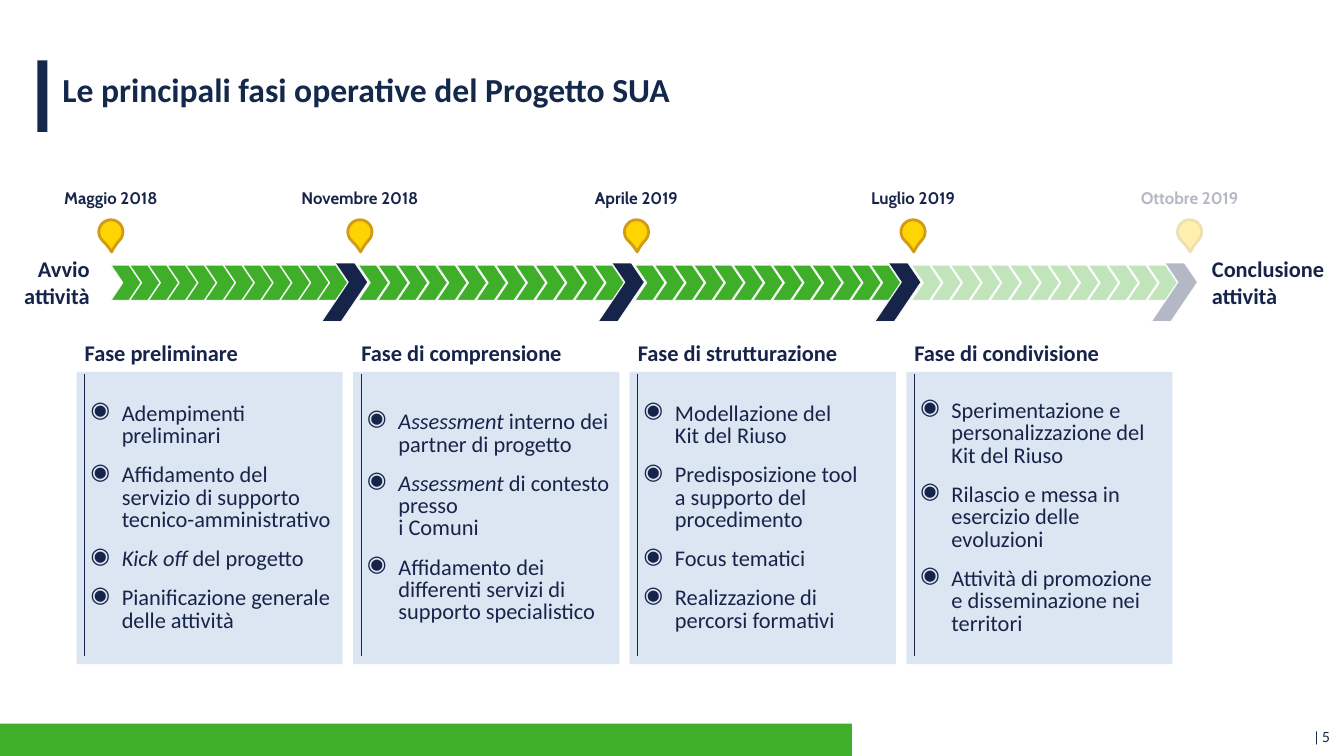
from lxml import etree
from pptx import Presentation
from pptx.dml.color import RGBColor
from pptx.enum.shapes import MSO_CONNECTOR, MSO_SHAPE
from pptx.enum.text import MSO_ANCHOR, MSO_AUTO_SIZE, PP_ALIGN
from pptx.oxml.ns import qn
from pptx.util import Inches, Pt

RECT, CHEVRON = MSO_SHAPE.RECTANGLE, MSO_SHAPE.CHEVRON
TEAR, PARALLELOGRAM = MSO_SHAPE.TEAR, MSO_SHAPE.PARALLELOGRAM
STRAIGHT = MSO_CONNECTOR.STRAIGHT
LEFT, CENTER, RIGHT = PP_ALIGN.LEFT, PP_ALIGN.CENTER, PP_ALIGN.RIGHT
TOP, MIDDLE = MSO_ANCHOR.TOP, MSO_ANCHOR.MIDDLE
GROW = MSO_AUTO_SIZE.SHAPE_TO_FIT_TEXT

NAVY = RGBColor(0x17, 0x24, 0x4A)
TITLE_NAVY = RGBColor(0x14, 0x28, 0x4B)
GREEN = RGBColor(0x3F, 0xAE, 0x29)
PALE_BLUE = RGBColor(0xDC, 0xE6, 0xF2)
YELLOW = RGBColor(0xFF, 0xD4, 0x03)
OCHRE = RGBColor(0xD1, 0x9A, 0x17)
OFF_WHITE = RGBColor(0xF8, 0xF8, 0xF8)
WHITE = RGBColor(0xFF, 0xFF, 0xFF)

TITLE = "Le principali fasi operative del Progetto SUA"
START_DATE = ("Maggio 2018", 1.15)
START_LABEL = "Avvio\nattività"
END_LABEL = "Conclusione \nattività"
PAGE = "| 5"

# Each activity is a list of (text, italic) runs.
PHASES = [
    {"name": "Fase preliminare", "name_width": 1.54,
     "end_date": ("Novembre 2018", 1.41), "first_arrow": 0.34, "arrows": 12,
     "activities": [
         [("Adempimenti preliminari", False)],
         [("Affidamento del servizio di supporto tecnico-amministrativo", False)],
         [("Kick off ", True), ("del progetto", False)],
         [("Pianificazione generale delle attività", False)]]},
    {"name": "Fase di comprensione", "name_width": 2.01,
     "end_date": ("Aprile 2019", 1.07), "first_arrow": 0.05, "arrows": 13,
     "activities": [
         [("Assessment", True), (" interno dei partner di progetto", False)],
         [("Assessment ", True), ("di contesto presso \ni Comuni", False)],
         [("Affidamento dei differenti servizi di supporto specialistico", False)]]},
    {"name": "Fase di strutturazione", "name_width": 2.01,
     "end_date": ("Luglio 2019", 1.05), "first_arrow": 0.05, "arrows": 13,
     "activities": [
         [("Modellazione del \nKit del Riuso", False)],
         [("Predisposizione tool \na supporto del procedimento", False)],
         [("Focus tematici", False)],
         [("Realizzazione di percorsi formativi", False)]]},
    {"name": "Fase di condivisione", "name_width": 1.86,
     "end_date": ("Ottobre 2019", 1.22), "first_arrow": 0.05, "arrows": 13,
     "activities": [
         [("Sperimentazione e personalizzazione del Kit del Riuso", False)],
         [("Rilascio e messa in esercizio delle evoluzioni", False)],
         [("Attività di promozione e disseminazione nei territori", False)]]},
]

FIRST_LEFT, PHASE_PITCH = 0.76, 2.743
CARD_TOP, CARD_WIDTH, CARD_HEIGHT = 3.69, 2.64, 2.9
LAST_ARROW, PIN_CENTER, PIN_SIZE = 2.39, 2.81, 0.24

prs = Presentation()
prs.slide_width, prs.slide_height = Inches(13.33), Inches(7.5)
slide = prs.slides.add_slide(prs.slide_layouts[6])


def add_runs(paragraph, text, size, color, font="Calibri", bold=False, italic=False):
    for i, line in enumerate(text.split("\n")):
        if i:
            paragraph.add_line_break()
        run = paragraph.add_run()
        run.text = line
        run.font.size, run.font.name = Pt(size), font
        run.font.bold, run.font.italic = bold, italic
        run.font.color.rgb = color


def add_label(text, left, top, width, height, size=16, color=NAVY, font="Calibri",
              bold=True, align=LEFT, insets=(0, 0), wrap=False):
    box = slide.shapes.add_textbox(Inches(left), Inches(top), Inches(width), Inches(height))
    frame = box.text_frame
    frame.word_wrap = wrap
    if not wrap:
        frame.auto_size = GROW
    frame.vertical_anchor = TOP
    frame.margin_left = frame.margin_right = Inches(insets[0])
    frame.margin_top = frame.margin_bottom = Inches(insets[1])
    frame.paragraphs[0].alignment = align
    add_runs(frame.paragraphs[0], text, size, color, font, bold)


def add_block(kind, left, top, width, height, fill, line=None, line_width=0.75,
              adjust=None, flip=False):
    block = slide.shapes.add_shape(kind, Inches(left), Inches(top), Inches(width), Inches(height))
    block.shadow.inherit = False
    block.fill.solid()
    block.fill.fore_color.rgb = fill
    if line is None:
        block.line.fill.background()
    else:
        block.line.color.rgb = line
        block.line.width = Pt(line_width)
    if adjust is not None:
        block.adjustments[0] = adjust
    if flip:
        block._element.spPr.find(qn("a:xfrm")).set("flipH", "1")
    return block


def add_milestone(date, center):
    text, width = date
    add_label(text, center - width / 2, 1.86, width, 0.2, 12, font="Cabin", align=CENTER)
    pin = add_block(TEAR, center - PIN_SIZE / 2, 2.18, PIN_SIZE, PIN_SIZE, YELLOW,
                    OCHRE, 2, 1.175, True)
    pin.rotation = 223


def add_card(left, activities):
    card = add_block(RECT, left, CARD_TOP, CARD_WIDTH, CARD_HEIGHT, PALE_BLUE)
    frame = card.text_frame
    frame.word_wrap = True
    frame.vertical_anchor = MIDDLE
    for i, activity in enumerate(activities):
        paragraph = frame.add_paragraph() if i else frame.paragraphs[0]
        paragraph.alignment = LEFT
        paragraph.line_spacing, paragraph.space_before = Pt(16), Pt(12)
        props = paragraph._p.get_or_add_pPr()
        props.set("marL", str(Inches(0.35)))
        props.set("indent", str(Inches(-0.31)))
        etree.SubElement(props, qn("a:buChar")).set("char", "◉")
        for text, italic in activity:
            add_runs(paragraph, text, 16, NAVY, italic=italic)
    rule_x = Inches(left + 0.08)
    rule = slide.shapes.add_connector(STRAIGHT, rule_x, Inches(3.71), rule_x, Inches(6.51))
    rule.line.color.rgb = NAVY
    rule.line.width = Pt(0.75)
    etree.SubElement(rule._element.spPr, qn("a:effectLst"))


def add_phase(phase, left):
    add_card(left, phase["activities"])
    add_label(phase["name"], left + 0.08, 3.36, phase["name_width"], 0.27)
    step = (LAST_ARROW - phase["first_arrow"]) / (phase["arrows"] - 1)
    for i in range(phase["arrows"]):
        add_block(CHEVRON, left + phase["first_arrow"] + i * step, 2.63, 0.3, 0.35,
                  GREEN, OFF_WHITE, adjust=0.396)
    add_block(CHEVRON, left + 2.43, 2.41, 0.46, 0.78, NAVY, OFF_WHITE, adjust=0.573)
    add_block(PARALLELOGRAM, left + 2.41, 2.38, 0.38, 0.22, WHITE, WHITE, 2, 0.576, True)
    add_milestone(phase["end_date"], left + PIN_CENTER)


add_block(RECT, 0, 7.18, 8.45, 0.32, GREEN)
add_block(RECT, 0.37, 0.6, 0.1, 0.71, TITLE_NAVY)
add_label(PAGE, 10.13, 7.18, 3.16, 0.27, 10, TITLE_NAVY, "Lato", False, RIGHT, (0.1, 0.05), True)
add_label(TITLE, 0.58, 0.68, 12, 0.39, 24, TITLE_NAVY, insets=(0.04, 0), wrap=True)

lefts = [FIRST_LEFT + i * PHASE_PITCH for i in range(len(PHASES))]
add_phase(PHASES[-1], lefts[-1])
future_veil = add_block(RECT, lefts[-1], 1.7, 3.5, 1.51, WHITE)
veil_color = future_veil._element.spPr.find(qn("a:solidFill"))[0]
etree.SubElement(veil_color, qn("a:alpha")).set("val", "68000")
for phase, left in zip(PHASES[:-1], lefts):
    add_phase(phase, left)

add_milestone(START_DATE, 1.1)
add_label(START_LABEL, 0.23, 2.53, 0.66, 0.54, align=RIGHT)
add_label(END_LABEL, 12.02, 2.53, 1.18, 0.54)

prs.save("out.pptx")
